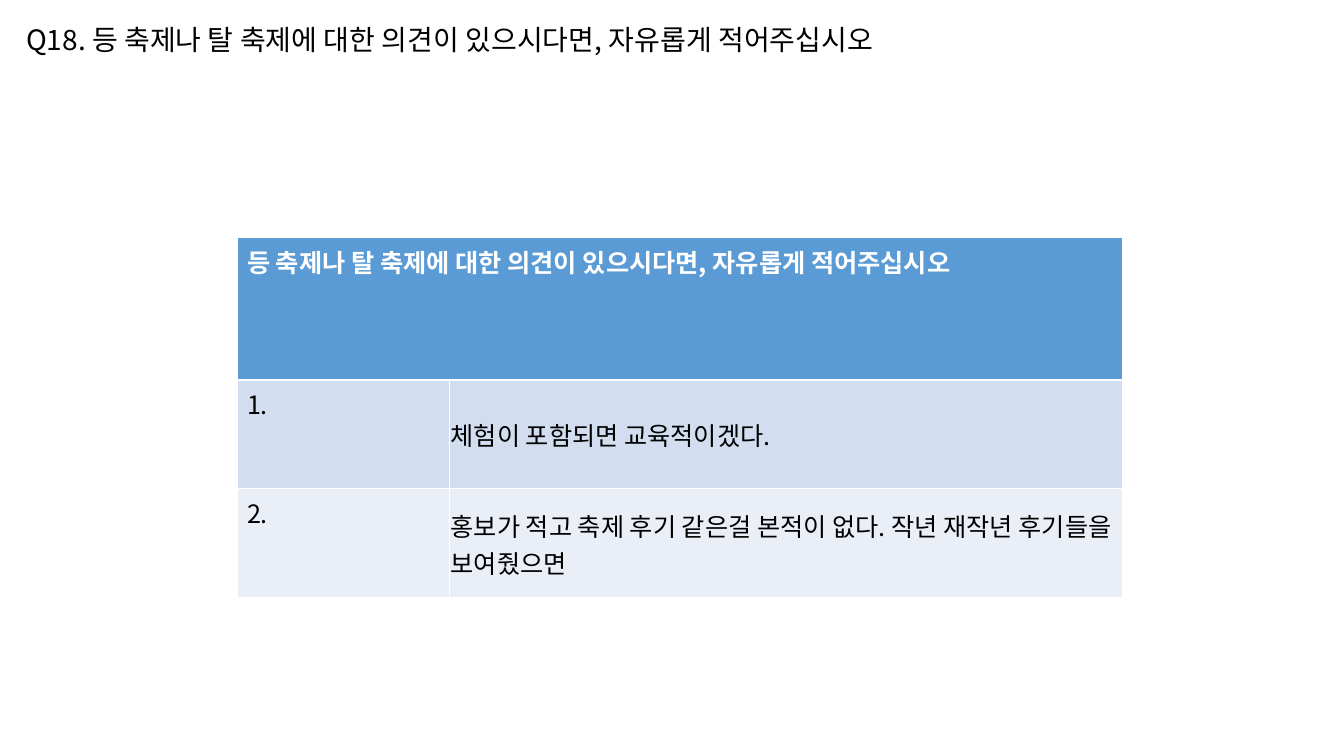
from dataclasses import dataclass

from lxml import etree
from pptx import Presentation
from pptx.dml.color import RGBColor
from pptx.enum.text import MSO_ANCHOR, MSO_AUTO_SIZE, PP_ALIGN
from pptx.oxml.ns import qn
from pptx.util import Inches, Pt

LEFT = PP_ALIGN.LEFT
TOP, MIDDLE = MSO_ANCHOR.TOP, MSO_ANCHOR.MIDDLE
NO_AUTOFIT = MSO_AUTO_SIZE.NONE

WHITE = RGBColor(0xFF, 0xFF, 0xFF)
BLACK = RGBColor(0x00, 0x00, 0x00)
HEADER_BLUE = RGBColor(0x5B, 0x9B, 0xD5)
BAND_DARK = RGBColor(0xD2, 0xDE, 0xEF)
BAND_LIGHT = RGBColor(0xEA, 0xEF, 0xF7)

FONT = "Noto Sans CJK KR"
TITLE_LAYOUT = 5
QUESTION = "등 축제나 탈 축제에 대한 의견이 있으시다면, 자유롭게 적어주십시오"
COLUMN_WIDTHS = (2.11, 6.67)
ROW_HEIGHTS = (1.41, 1.08, 1.08)


@dataclass(frozen=True)
class Opinion:
    text: str
    fill: RGBColor


OPINIONS = (
    Opinion("체험이 포함되면 교육적이겠다.", BAND_DARK),
    Opinion("홍보가 적고 축제 후기 같은걸 본적이 없다. 작년 재작년 후기들을 보여줬으면", BAND_LIGHT),
)


def write(text_frame, text: str, size: int, color: RGBColor, bold: bool = False) -> None:
    text_frame.text = text
    paragraph = text_frame.paragraphs[0]
    paragraph.alignment = LEFT
    font = paragraph.font
    font.size = Pt(size)
    font.bold = bold
    font.color.rgb = color
    font.name = FONT
    # Hangul takes its typeface from the East Asian font slot.
    latin = paragraph._p.pPr.find(qn("a:defRPr")).find(qn("a:latin"))
    east_asian = etree.Element(qn("a:ea"))
    east_asian.set("typeface", FONT)
    latin.addnext(east_asian)


def fill_cell(cell, text: str, fill: RGBColor, color: RGBColor = BLACK, bold: bool = False) -> None:
    cell.fill.solid()
    cell.fill.fore_color.rgb = fill
    write(cell.text_frame, text, 18, color, bold)


def add_title(slide) -> None:
    title = slide.shapes.title
    title.left, title.top = Inches(0.16), Inches(0.17)
    title.width, title.height = Inches(9.59), Inches(0.44)
    text_frame = title.text_frame
    text_frame.word_wrap = False
    text_frame.auto_size = NO_AUTOFIT
    text_frame.vertical_anchor = TOP
    write(text_frame, f"Q18. {QUESTION}", 20, BLACK)
    text_frame.paragraphs[0].line_spacing = 1.0


def add_opinion_table(slide) -> None:
    table = slide.shapes.add_table(
        len(ROW_HEIGHTS), len(COLUMN_WIDTHS), Inches(2.35), Inches(2.36),
        Inches(sum(COLUMN_WIDTHS)), Inches(sum(ROW_HEIGHTS)),
    ).table
    for column, width in zip(table.columns, COLUMN_WIDTHS):
        column.width = Inches(width)
    for row, height in zip(table.rows, ROW_HEIGHTS):
        row.height = Inches(height)

    header = table.cell(0, 0)
    header.merge(table.cell(0, 1))
    fill_cell(header, QUESTION, HEADER_BLUE, WHITE, bold=True)

    for number, opinion in enumerate(OPINIONS, start=1):
        fill_cell(table.cell(number, 0), f"{number}.", opinion.fill)
        answer = table.cell(number, 1)
        fill_cell(answer, opinion.text, opinion.fill)
        answer.vertical_anchor = MIDDLE
        answer.margin_left = answer.margin_top = answer.margin_right = Inches(0.01)
        answer.margin_bottom = Inches(0)


def main() -> None:
    presentation = Presentation()
    presentation.slide_width = Inches(13.33)
    presentation.slide_height = Inches(7.5)
    slide = presentation.slides.add_slide(presentation.slide_layouts[TITLE_LAYOUT])
    add_title(slide)
    add_opinion_table(slide)
    presentation.save("out.pptx")


if __name__ == "__main__":
    main()
